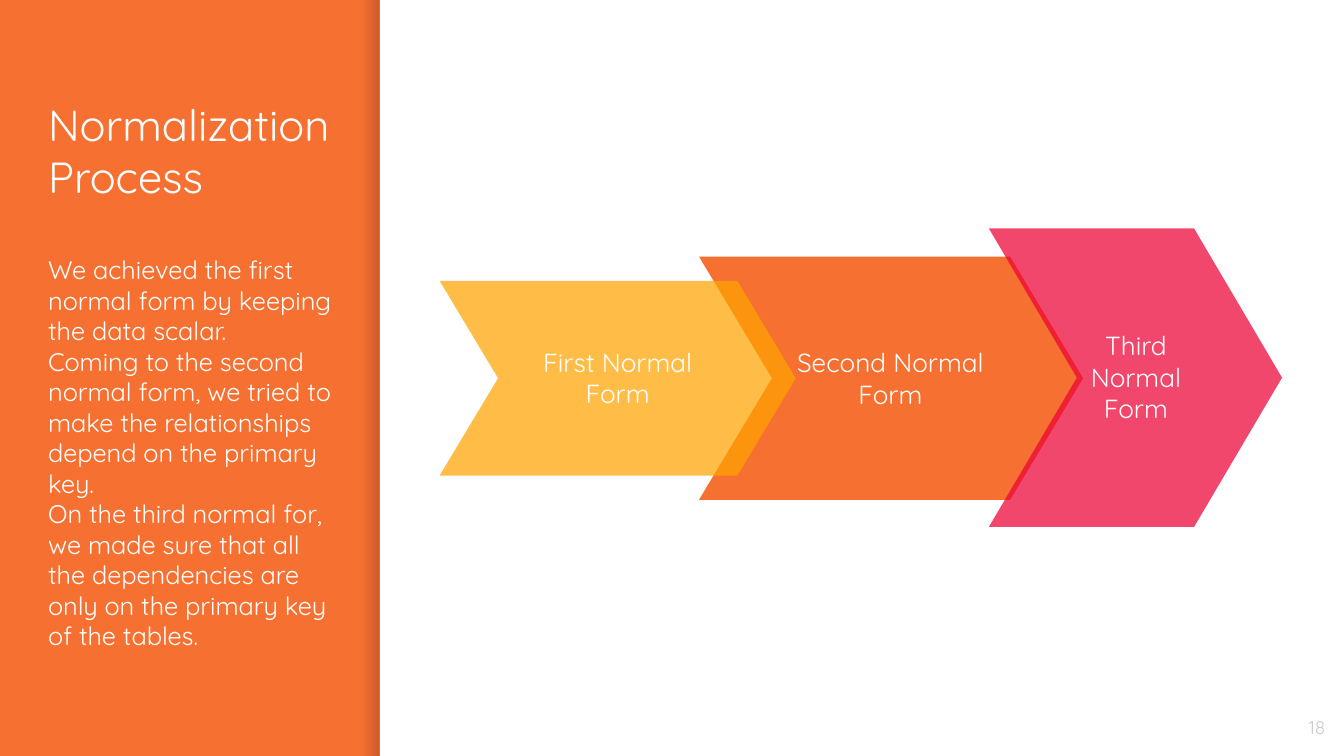
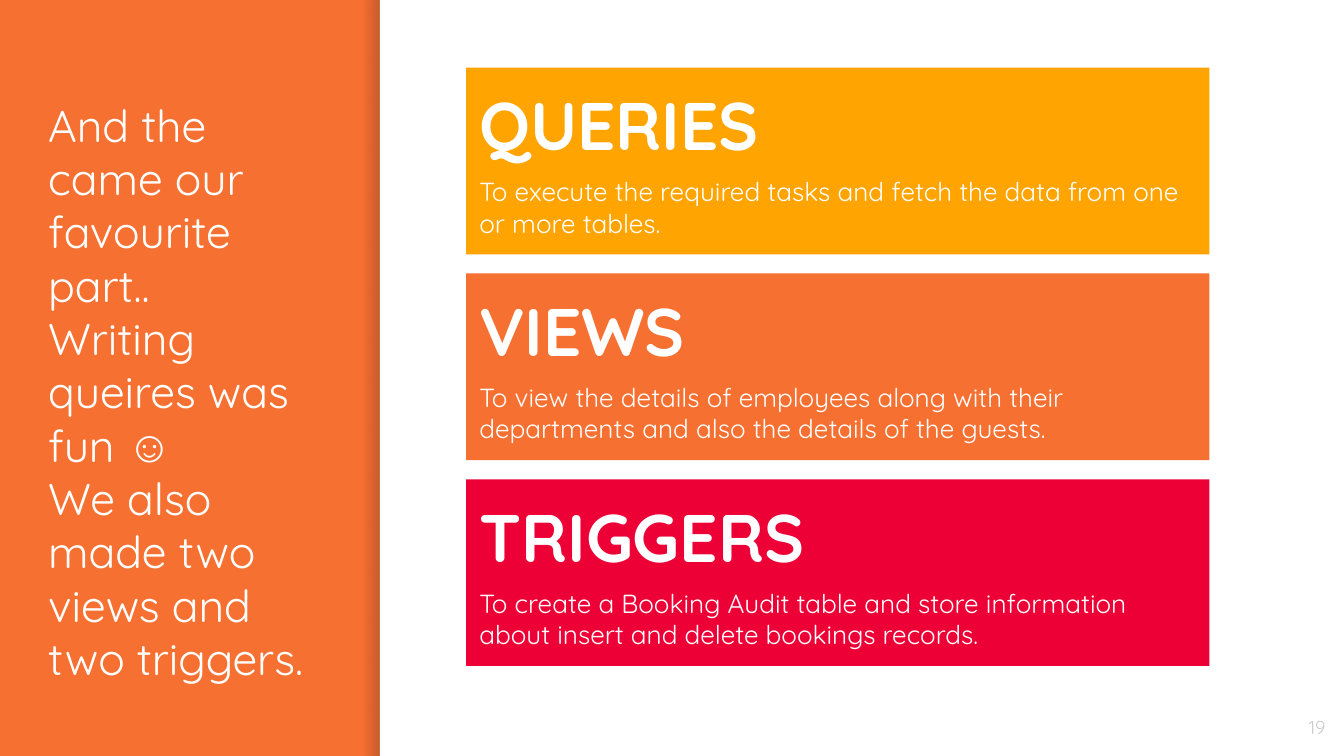
from lxml.etree import SubElement
from pptx import Presentation
from pptx.dml.color import RGBColor
from pptx.enum.shapes import MSO_SHAPE
from pptx.enum.text import MSO_ANCHOR, MSO_AUTO_SIZE, PP_ALIGN
from pptx.oxml.ns import qn
from pptx.util import Cm, Pt

FONT = "Quicksand"
ORANGE, AMBER, RED = "F67031", "FFA400", "ED0036"
WHITE, GREY, SHADE = "FFFFFF", "CCCCCC", "000014"
WIDTH, HEIGHT = 25.4, 14.29
BAND_EDGE, SHADE_WIDTH = 7.18, 0.32
TITLE_LEFT, TITLE_TOP = 0.66, 1.6

NORMALIZATION = [
    dict(text="Normalization Process", size=23.3),
    dict(text="We achieved the first normal form by keeping the data scalar.",
         size=13.6, before=28),
    dict(text="Coming to the second normal form, we tried to make the "
              "relationships depend on the primary key.", size=13.6),
    dict(text="On the third normal for, we made sure that all the dependencies "
              "are only on the primary key of the tables.", size=13.6),
]
FAVOURITE = [
    dict(text="And the came our favourite part..", size=23.8),
    dict(text="Writing queires was fun ", size=23.8, symbol="☺"),
    dict(text="We also made two views and two triggers.", size=23.8),
]
# label, colour, opacity, chevron (left, top, width, height), label area; back to front
CHEVRONS = [
    ("Second Normal Form", ORANGE, 100, (13.21, 4.85, 7.26, 4.6), (14.58, 6.3, 4.5, 1.7)),
    ("Third Normal Form", RED, 72, (18.69, 4.32, 5.54, 5.64), (20.3, 5.97, 2.34, 2.31)),
    ("First Normal Form", AMBER, 72, (8.31, 5.31, 6.73, 3.68), (9.4, 6.58, 4.55, 1.12)),
]
CARDS = [
    ("QUERIES", AMBER,
     "To execute the required tasks and fetch the data from one or more tables."),
    ("VIEWS", ORANGE,
     "To view the details of employees along with their departments and also "
     "the details of the guests."),
    ("TRIGGERS", RED,
     "To create a Booking Audit table and store information about insert and "
     "delete bookings records."),
]
CARD_LEFT, CARD_TOP, CARD_WIDTH, CARD_HEIGHT, CARD_GAP = 8.81, 1.28, 14.05, 3.53, 0.36


def colour(hex_text):
    return RGBColor.from_string(hex_text)


def lengths(area):
    return [Cm(value) for value in area]


def set_opacity(colour_element, percent):
    SubElement(colour_element, qn("a:alpha")).set("val", str(percent * 1000))


def add_block(page, kind, area, fill, opacity=100):
    block = page.shapes.add_shape(kind, *lengths(area))
    block.shadow.inherit = False
    block.line.fill.background()
    block.fill.solid()
    block.fill.fore_color.rgb = colour(fill)
    if opacity < 100:
        set_opacity(block.fill._xPr.find(".//" + qn("a:srgbClr")), opacity)
    return block


def add_span(para, text, size, tint, bold, font=FONT):
    span = para.add_run()
    span.text = text
    span.font.name = font
    span.font.size = Pt(size)
    span.font.bold = bold
    span.font.color.rgb = colour(tint)


def add_para(frame, text, size=14, tint=WHITE, bold=False, align=PP_ALIGN.LEFT,
             before=0, symbol=""):
    """Fill the empty first paragraph of the frame, or append a new one."""
    para = frame.paragraphs[0]
    if para.runs:
        para = frame.add_paragraph()
    para.alignment = align
    para.space_before = Pt(before)
    add_span(para, text, size, tint, bold)
    if symbol:
        add_span(para, symbol, size, tint, bold, font="Arial")


def prepare_frame(box, anchor=MSO_ANCHOR.MIDDLE):
    frame = box.text_frame
    frame.word_wrap = True
    frame.auto_size = MSO_AUTO_SIZE.NONE
    frame.vertical_anchor = anchor
    frame.margin_left = frame.margin_right = Cm(0.25)
    frame.margin_top = frame.margin_bottom = Cm(0.25)
    return frame


def add_label(page, area, text, **style):
    add_para(prepare_frame(page.shapes.add_textbox(*lengths(area))), text, **style)


def add_edge_shade(page):
    """Darken the band towards the white panel."""
    shade = add_block(page, MSO_SHAPE.RECTANGLE,
                      (BAND_EDGE - SHADE_WIDTH, 0, SHADE_WIDTH, HEIGHT), SHADE)
    shade.fill.gradient()
    shade.fill.gradient_angle = 0
    for stop, opacity in zip(shade.fill.gradient_stops, (0, 20)):
        stop.color.rgb = colour(SHADE)
        set_opacity(stop.color._color._xClr, opacity)


def add_page(deck, number, title_paras, title_width, title_height):
    page = deck.slides.add_slide(deck.slide_layouts.get_by_name("Title Only"))
    page.background.fill.solid()
    page.background.fill.fore_color.rgb = colour(ORANGE)
    add_edge_shade(page)
    add_block(page, MSO_SHAPE.RECTANGLE,
              (BAND_EDGE, 0, WIDTH - BAND_EDGE, HEIGHT), WHITE)
    title = page.shapes.title
    title.left, title.top, title.width, title.height = lengths(
        (TITLE_LEFT, TITLE_TOP, title_width, title_height))
    frame = prepare_frame(title, MSO_ANCHOR.TOP)
    for para in title_paras:
        add_para(frame, **para)
    add_label(page, (24.36, 13.28, 0.94, 0.94), str(number),
              size=10, tint=GREY, align=PP_ALIGN.RIGHT)
    return page


def add_chevrons(page):
    for text, fill, opacity, area, label_area in CHEVRONS:
        chevron = add_block(page, MSO_SHAPE.CHEVRON, area, fill, opacity)
        chevron.adjustments[0] = 0.3
        add_label(page, label_area, text, align=PP_ALIGN.CENTER)


def add_cards(page):
    for index, (heading, fill, text) in enumerate(CARDS):
        top = CARD_TOP + index * (CARD_HEIGHT + CARD_GAP)
        card = add_block(page, MSO_SHAPE.RECTANGLE,
                         (CARD_LEFT, top, CARD_WIDTH, CARD_HEIGHT), fill)
        frame = prepare_frame(card)
        add_para(frame, heading, size=36, bold=True)
        add_para(frame, text, before=6)


def main():
    deck = Presentation()
    deck.slide_width, deck.slide_height = Cm(WIDTH), Cm(HEIGHT)
    add_chevrons(add_page(deck, 18, NORMALIZATION, 5.89, 11.05))
    add_cards(add_page(deck, 19, FAVOURITE, 5.69, 11.61))
    deck.save("out.pptx")


if __name__ == "__main__":
    main()
